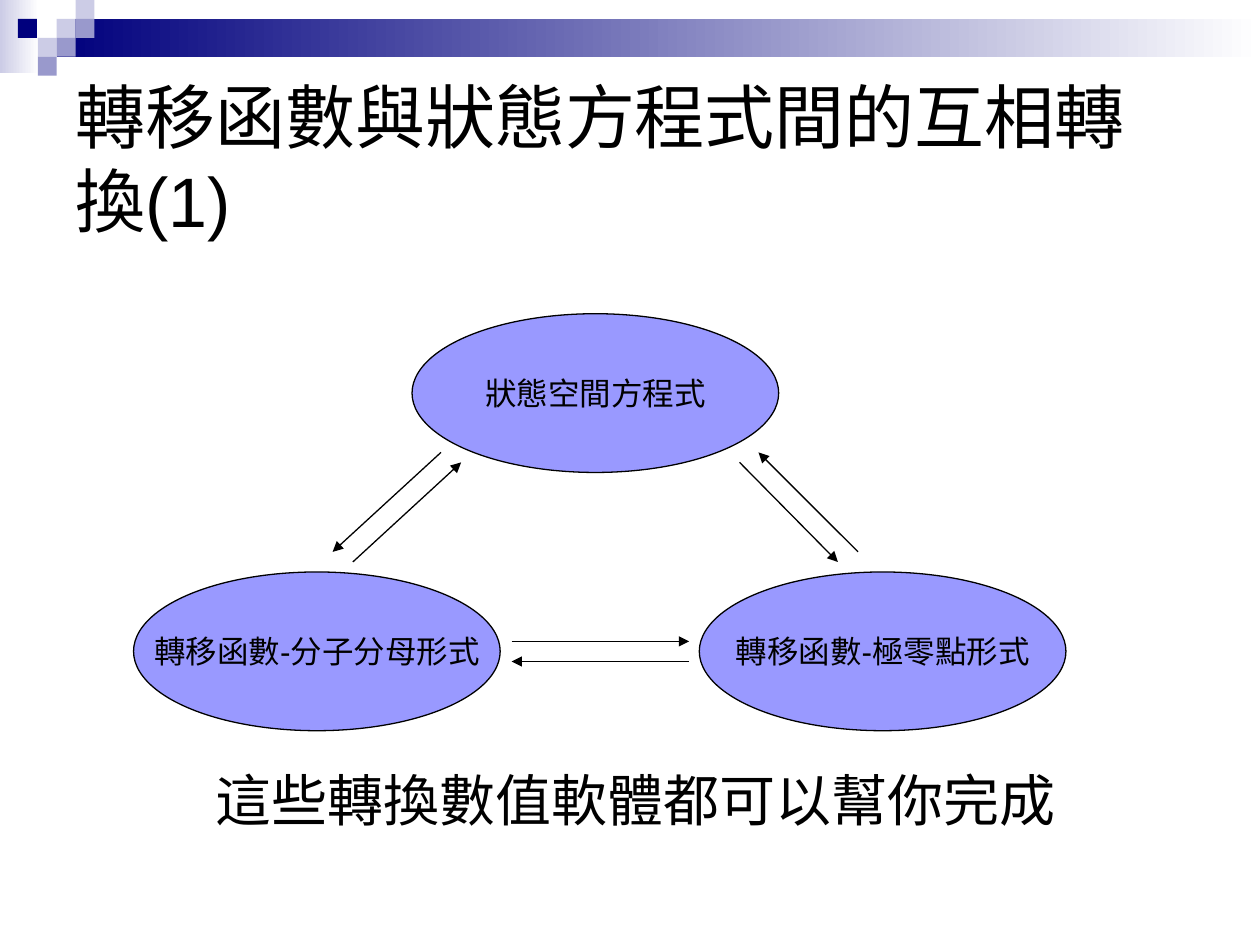
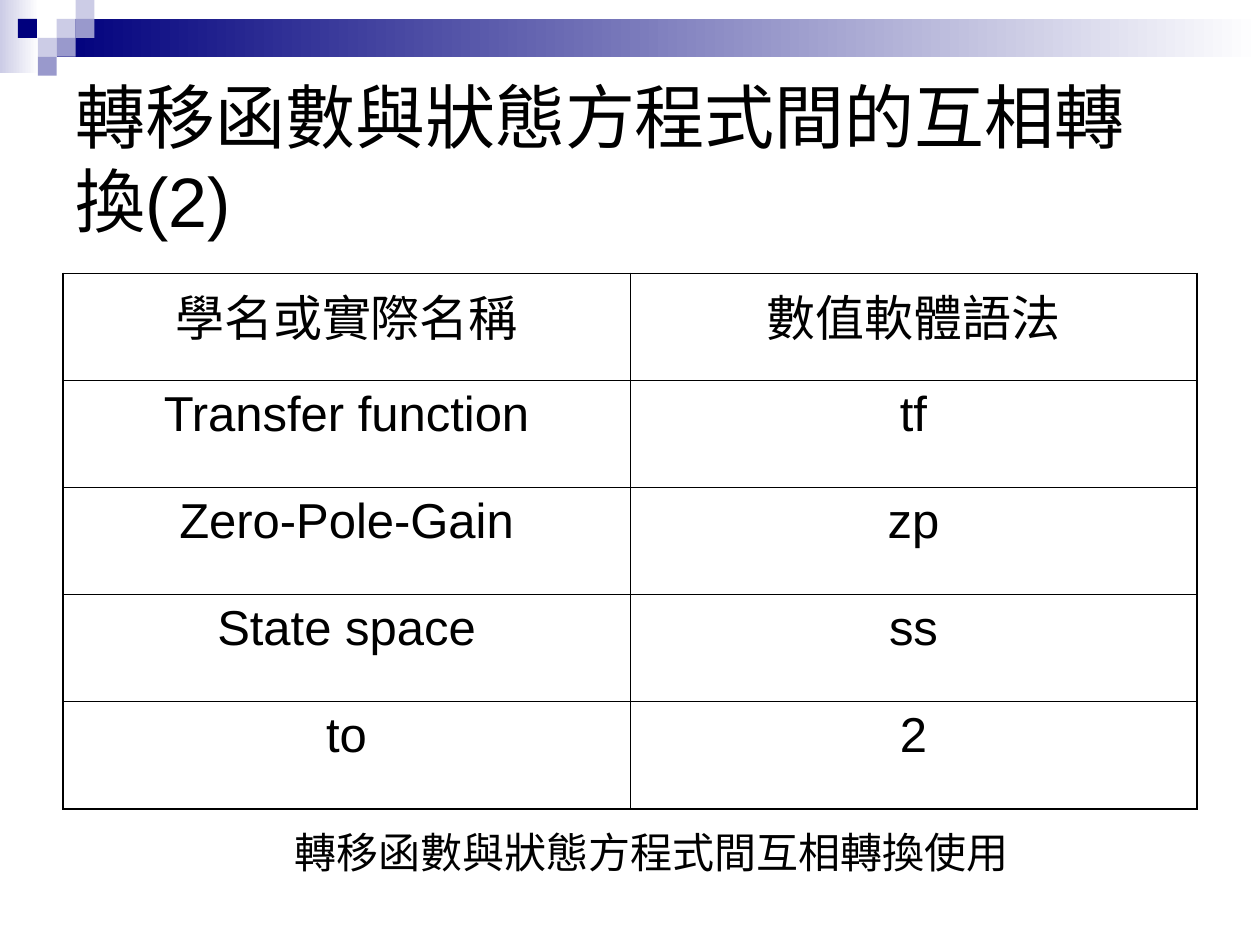
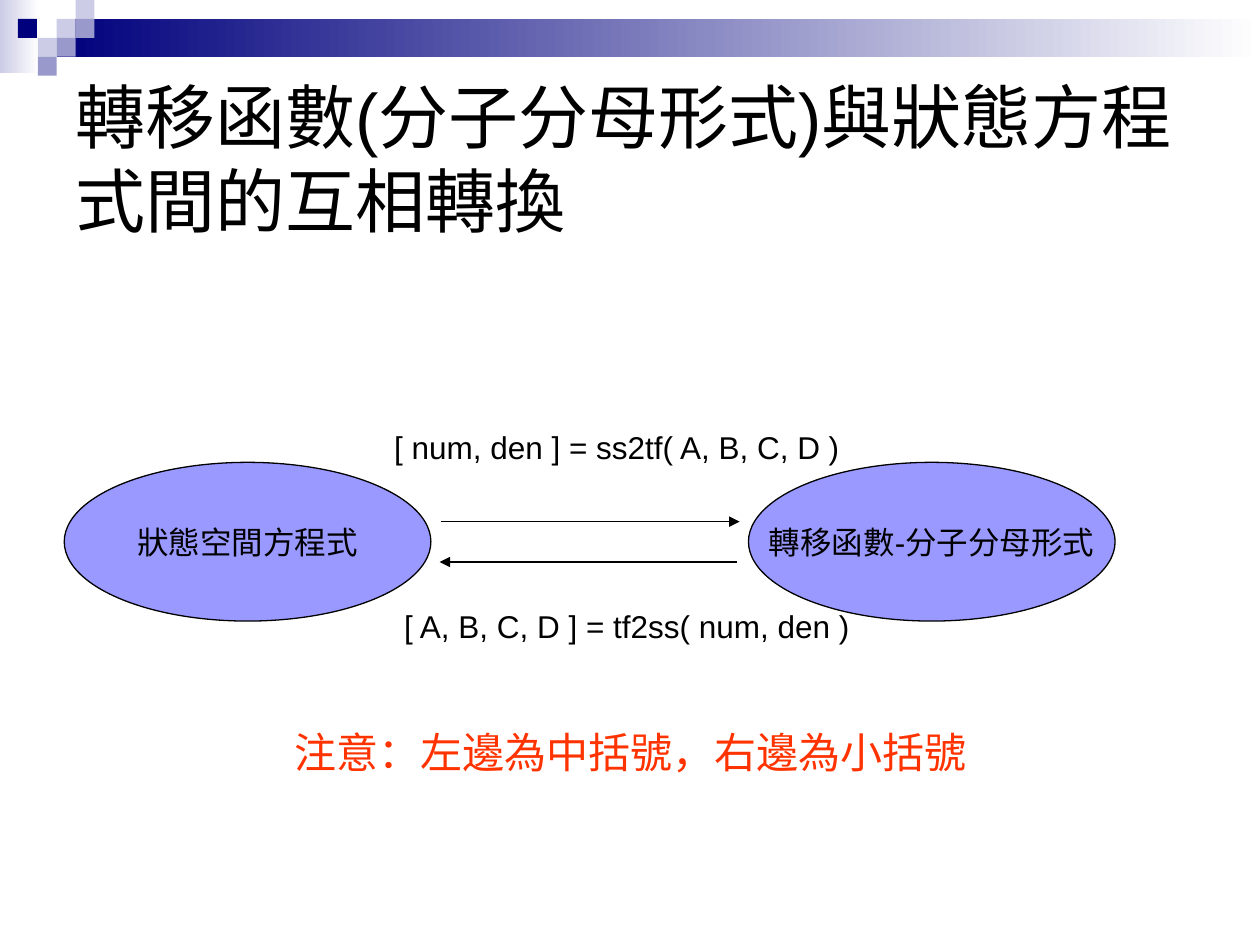
import pptx
import pptx.util
import pptx.dml.color
import pptx.enum.shapes
import pptx.enum.text
import pptx.oxml
import pptx.oxml.ns

WIDTH = pptx.util.Inches(10)
HEIGHT = pptx.util.Inches(7.5)
FONT = "Arial"
COLORS = {
    "ink": "000000",
    "paper": "FFFFFF",
    "navy": "00007D",
    "slate": "9999CC",
    "mist": "CCCCE6",
    "node": "9999FF",
    "warning": "FF3300",
}
SQUARE_W, SQUARE_H = 1.5, 2
MOSAIC = [
    (3, 1, "mist"),
    (4, 0, "mist"),
    (4, 1, "slate"),
    (2, 2, "mist"),
    (0.95, 1, "navy"),
    (3, 2, "slate"),
    (2, 3, "slate"),
]
NODE_W, NODE_H = 29.1, 16.8
STATE_SPACE = "狀態空間方程式"
NUM_DEN = "轉移函數-分子分母形式"
POLE_ZERO = "轉移函數-極零點形式"
SYNTAX = [
    ("學名或實際名稱", "數值軟體語法"),
    ("Transfer function", "tf"),
    ("Zero-Pole-Gain", "zp"),
    ("State space", "ss"),
    ("to", "2"),
]


def across(share):
    return int(WIDTH * share / 100)


def down(share):
    return int(HEIGHT * share / 100)


def area(left, top, width, height):
    return across(left), down(top), across(width), down(height)


def rgb(name):
    return pptx.dml.color.RGBColor.from_string(COLORS[name])


def write(frame, text, size, color="ink", align="LEFT"):
    frame.text = text
    paragraph = frame.paragraphs[0]
    paragraph.alignment = getattr(pptx.enum.text.PP_ALIGN, align)
    paragraph.font.name = FONT
    paragraph.font.size = pptx.util.Pt(size)
    paragraph.font.color.rgb = rgb(color)


def add_block(slide, box, color, fade=False):
    block = slide.shapes.add_shape(pptx.enum.shapes.MSO_SHAPE.RECTANGLE, *area(*box))
    block.shadow.inherit = False
    block.line.fill.background()
    if fade:
        block.fill.gradient()
        block.fill.gradient_angle = 0
        for stop, shade in zip(block.fill.gradient_stops, (color, "paper")):
            stop.color.rgb = rgb(shade)
    else:
        block.fill.solid()
        block.fill.fore_color.rgb = rgb(color)
    return block


def add_band(slide):
    blocks = [
        add_block(slide, (0, 0, 3.1, 7.7), "mist", fade=True),
        add_block(slide, (4.5, 2, 95.5, 4), "navy", fade=True),
    ]
    for column, row, color in MOSAIC:
        box = (column * SQUARE_W, row * SQUARE_H, SQUARE_W, SQUARE_H)
        blocks.append(add_block(slide, box, color))
    return blocks


def move_to_layout(blocks, layout):
    tree = layout.shapes.element
    for position, block in enumerate(blocks, start=2):
        tree.insert(position, block.element)


def add_titled_slide(deck, heading):
    slide = deck.slides.add_slide(deck.slide_layouts[5])
    title = slide.shapes.title
    title.left, title.top, title.width, title.height = area(5, 6.67, 90, 20)
    frame = title.text_frame
    write(frame, heading, 40)
    frame.word_wrap = True
    frame.auto_size = pptx.enum.text.MSO_AUTO_SIZE.NONE
    frame.vertical_anchor = pptx.enum.text.MSO_ANCHOR.MIDDLE
    return slide


def add_node(slide, left, top, label):
    box = area(left, top, NODE_W, NODE_H)
    node = slide.shapes.add_shape(pptx.enum.shapes.MSO_SHAPE.OVAL, *box)
    node.shadow.inherit = False
    node.fill.solid()
    node.fill.fore_color.rgb = rgb("node")
    node.line.color.rgb = rgb("ink")
    node.line.width = pptx.util.Pt(0.75)
    write(node.text_frame, label, 18, align="CENTER")
    node.text_frame.word_wrap = False
    node.text_frame.vertical_anchor = pptx.enum.text.MSO_ANCHOR.MIDDLE


def add_arrow(slide, start_x, start_y, end_x, end_y):
    arrow = slide.shapes.add_connector(
        pptx.enum.shapes.MSO_CONNECTOR.STRAIGHT,
        across(start_x), down(start_y), across(end_x), down(end_y),
    )
    arrow.line.color.rgb = rgb("ink")
    arrow.line.width = pptx.util.Pt(0.75)
    properties = arrow.element.spPr
    outline = properties.find(pptx.oxml.ns.qn("a:ln"))
    head = pptx.oxml.parse_xml(
        f'<a:tailEnd {pptx.oxml.ns.nsdecls("a")} type="triangle"/>')
    outline.append(head)
    properties.append(pptx.oxml.parse_xml(
        f'<a:effectLst {pptx.oxml.ns.nsdecls("a")}/>'))


def add_note(slide, box, text, size, color="ink"):
    frame = slide.shapes.add_textbox(*area(*box)).text_frame
    frame.word_wrap = True
    frame.auto_size = pptx.enum.text.MSO_AUTO_SIZE.SHAPE_TO_FIT_TEXT
    write(frame, text, size, color)


def set_border(cell, side, width):
    cell._tc.get_or_add_tcPr().append(pptx.oxml.parse_xml(
        f'<a:ln{side} {pptx.oxml.ns.nsdecls("a")} w="{pptx.util.Pt(width)}">'
        f'<a:solidFill><a:srgbClr val="{COLORS["ink"]}"/></a:solidFill></a:ln{side}>'))


def add_grid(slide, box, rows):
    last_row, last_column = len(rows) - 1, len(rows[0]) - 1
    grid = slide.shapes.add_table(len(rows), len(rows[0]), *area(*box)).table
    grid.first_row = grid.horz_banding = False
    for r, row in enumerate(rows):
        for c, text in enumerate(row):
            cell = grid.cell(r, c)
            write(cell.text_frame, text, 28, align="CENTER")
            edges = {"L": c == 0, "R": c == last_column, "T": r == 0, "B": r == last_row}
            for side, outer in edges.items():
                set_border(cell, side, 1.08 if outer else 0.45)
            cell.fill.background()


def build_overview(deck):
    slide = add_titled_slide(deck, "轉移函數與狀態方程式間的互相轉換(1)")
    move_to_layout(add_band(slide), slide.slide_layout)
    add_node(slide, 32.7, 33.2, STATE_SPACE)
    add_node(slide, 10.6, 60.53, NUM_DEN)
    add_node(slide, 55.5, 60.53, POLE_ZERO)
    for ends in [
        (28, 59.47, 36.6, 48.93),
        (35, 47.87, 26.4, 58.4),
        (68.1, 58.4, 60.2, 47.87),
        (58.7, 48.93, 66.5, 59.47),
        (40.6, 67.87, 54.7, 67.87),
        (54.7, 70, 40.6, 70),
    ]:
        add_arrow(slide, *ends)
    add_note(slide, (16.1, 80.4, 72.4, 8.53), "這些轉換數值軟體都可以幫你完成", 32)


def build_syntax(deck):
    slide = add_titled_slide(deck, "轉移函數與狀態方程式間的互相轉換(2)")
    add_grid(slide, (5, 28.93, 90, 56.67), SYNTAX)
    add_note(slide, (22.4, 86.8, 59.1, 6.67), "轉移函數與狀態方程式間互相轉換使用", 24)


def build_conversion(deck):
    slide = add_titled_slide(deck, "轉移函數(分子分母形式)與狀態方程式間的互相轉換")
    add_note(slide, (22.4, 76.27, 57.5, 6.67), "注意：左邊為中括號，右邊為小括號", 24, "warning")
    add_note(slide, (30.3, 44.67, 37.8, 5.33), "[ num, den ] = ss2tf( A, B, C, D )", 18)
    add_node(slide, 5.1, 48.93, STATE_SPACE)
    add_node(slide, 59.4, 48.93, NUM_DEN)
    add_arrow(slide, 35, 55.2, 58.7, 55.2)
    add_arrow(slide, 58.5, 59.47, 34.9, 59.47)
    add_note(slide, (31.1, 63.6, 37.8, 5.33), "[ A, B, C, D ] = tf2ss( num, den )", 18)


def main():
    deck = pptx.Presentation()
    deck.slide_width, deck.slide_height = WIDTH, HEIGHT
    build_overview(deck)
    build_syntax(deck)
    build_conversion(deck)
    deck.save("out.pptx")


if __name__ == "__main__":
    main()
